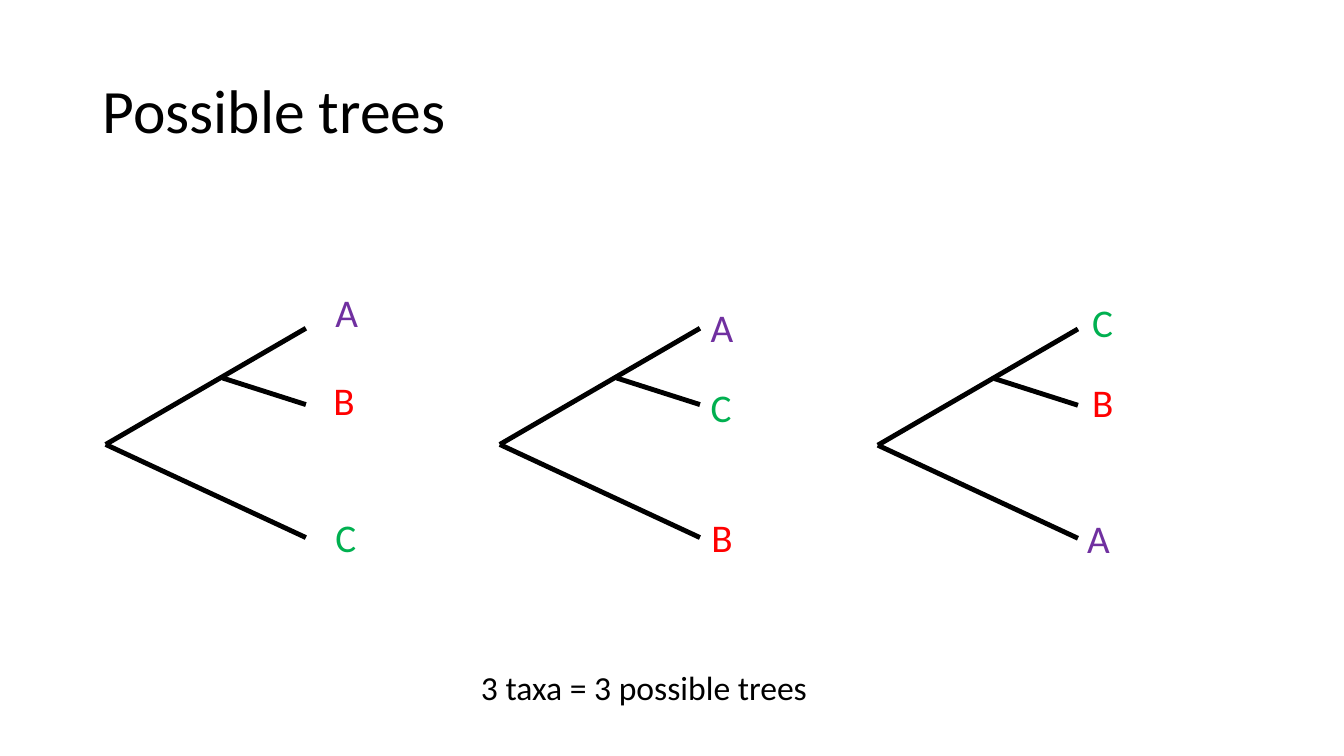
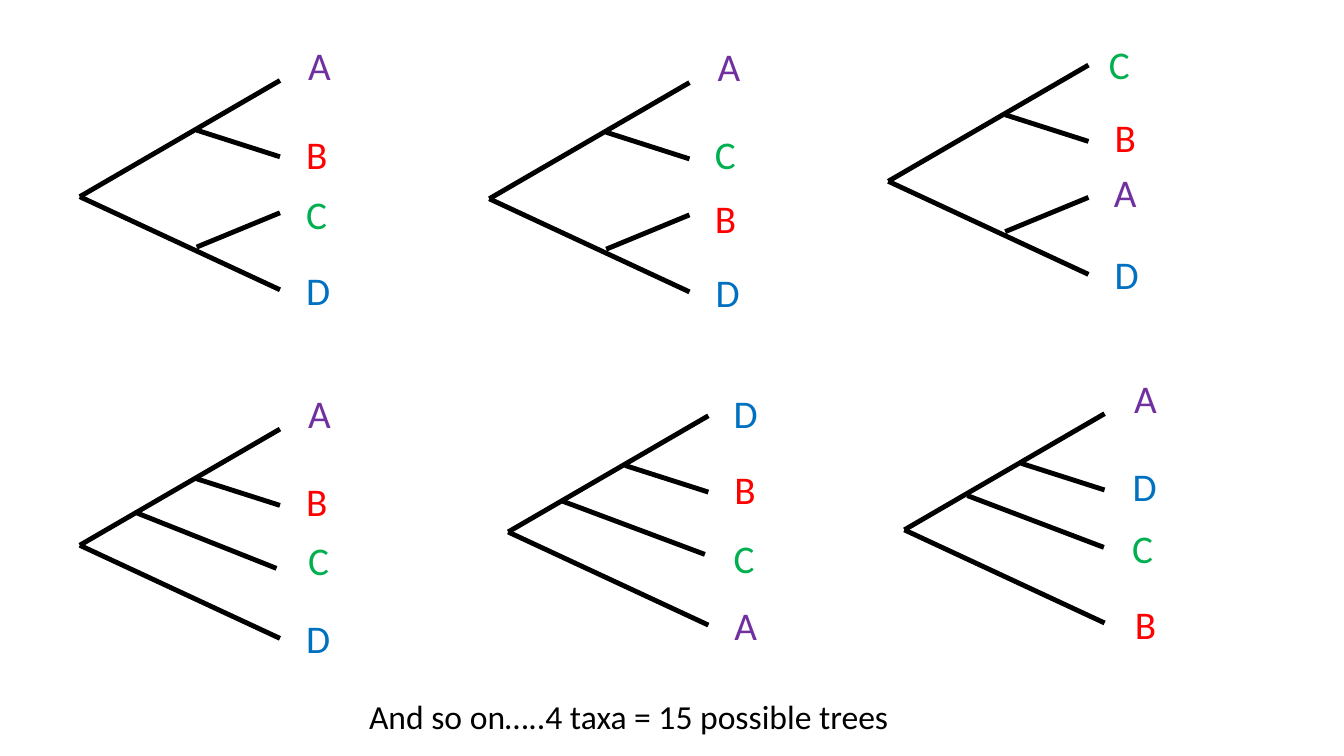
import pptx
import pptx.dml.color
import pptx.enum.shapes
import pptx.enum.text
import pptx.oxml.ns
import pptx.util
from lxml import etree

Pt = pptx.util.Pt
COLORS = {
    "ink": "000000",
    "paper": "FFFFFF",
    "A": "7030A0",
    "B": "FF0000",
    "C": "00B050",
    "D": "0070C0",
}
TITLE_ONLY, BLANK = 5, 6

# Branches as (x1, y1, x2, y2), measured from the root of a tree.
THREE_TAXA = [(0, 0, 143, -83), (0, 0, 143, 66.5), (83.5, -47.5, 143, -28.5)]
PAIRS = THREE_TAXA + [(83.5, 36, 143, 11.5)]


def ladder(*middle_branch):
    return THREE_TAXA + [middle_branch]


# Each tree: root, branches, then taxa as (letter, x, y) measured from the root.
THREE_TAXA_TREES = [
    ((75.5, 317.5), THREE_TAXA, [("A", 157, -115), ("B", 155.5, -52), ("C", 157, 45.5)]),
    ((357, 317.5), THREE_TAXA, [("A", 143.5, -104.5), ("C", 143.5, -47.5), ("B", 144, 45.5)]),
    ((627, 318), THREE_TAXA, [("C", 146, -108.5), ("B", 146, -51), ("A", 142.5, 45.5)]),
]
FOUR_TAXA_TREES = [
    ((57, 140.5), PAIRS,
     [("A", 156, -114.5), ("B", 154.5, -51), ("C", 154.5, -8), ("D", 154.5, 46)]),
    ((349.5, 142), PAIRS,
     [("A", 156, -115.5), ("C", 154, -52.5), ("B", 154, -6.5), ("D", 154.5, 46)]),
    ((634.5, 129.5), PAIRS,
     [("C", 150.5, -104.5), ("B", 154.5, -52), ("A", 154, -13), ("D", 154.5, 45.5)]),
    ((57, 389.5), ladder(41, -23, 140.5, 16.5),
     [("A", 156, -115), ("B", 154.5, -52), ("C", 156, -10), ("D", 154.5, 45.5)]),
    ((363, 380), ladder(37.5, -22.5, 140.5, 16),
     [("D", 154, -105.5), ("B", 154.5, -51), ("C", 154, -2), ("A", 154.5, 46)]),
    ((646, 378.5), ladder(45, -24.5, 142.5, 12.5),
     [("A", 157, -115), ("D", 156, -51.5), ("C", 155.5, -7.5), ("B", 157.5, 46.5)]),
]


def rgb(name):
    return pptx.dml.color.RGBColor.from_string(COLORS[name])


def write(frame, text, *, size, color="ink", font="Calibri", spacing=1.0, anchor="TOP"):
    frame.word_wrap = True
    frame.vertical_anchor = getattr(pptx.enum.text.MSO_ANCHOR, anchor)
    paragraph = frame.paragraphs[0]
    paragraph.alignment = pptx.enum.text.PP_ALIGN.LEFT
    paragraph.line_spacing = spacing
    run = paragraph.add_run()
    run.text = text
    run.font.name = font
    run.font.size = Pt(size)
    run.font.color.rgb = rgb(color)


class Deck:
    def __init__(self):
        self.presentation = pptx.Presentation()
        self.presentation.slide_width = Pt(960)
        self.presentation.slide_height = Pt(540)
        self.slide = None

    def add_slide(self, title=None):
        layout = self.presentation.slide_layouts[TITLE_ONLY if title else BLANK]
        self.slide = self.presentation.slides.add_slide(layout)
        fill = self.slide.background.fill
        fill.solid()
        fill.fore_color.rgb = rgb("paper")
        if title:
            shape = self.slide.shapes.title
            shape.left, shape.top, shape.width, shape.height = map(Pt, (66, 29, 828, 104.5))
            write(shape.text_frame, title, size=44, spacing=0.9, anchor="MIDDLE")

    def text(self, text, left, top, width, height, **style):
        box = self.slide.shapes.add_textbox(Pt(left), Pt(top), Pt(width), Pt(height))
        write(box.text_frame, text, **style)
        box.text_frame.auto_size = pptx.enum.text.MSO_AUTO_SIZE.SHAPE_TO_FIT_TEXT

    def line(self, x1, y1, x2, y2):
        connector = self.slide.shapes.add_connector(
            pptx.enum.shapes.MSO_CONNECTOR.STRAIGHT, Pt(x1), Pt(y1), Pt(x2), Pt(y2))
        connector.line.width = Pt(3.5)
        connector.line.color.rgb = rgb("ink")
        etree.SubElement(connector._element.spPr, pptx.oxml.ns.qn("a:effectLst"))

    def tree(self, root, branches, taxa):
        x, y = root
        for x1, y1, x2, y2 in branches:
            self.line(x + x1, y + y1, x + x2, y + y2)
        for letter, dx, dy in taxa:
            self.text(letter, x + dx, y + dy, 29.5, 41, size=28, color=letter)

    def caption(self, text, left, top, width):
        self.text(text, left, top, width, 36, size=24)


def main():
    deck = Deck()
    deck.add_slide("Possible trees")
    for tree in THREE_TAXA_TREES:
        deck.tree(*tree)
    deck.caption("3 taxa = 3 possible trees", 336.5, 473, 268.5)

    deck.add_slide()
    for tree in FOUR_TAXA_TREES:
        deck.tree(*tree)
    deck.caption("And so on…..4 taxa = 15 possible trees", 256.5, 493.5, 402.5)
    deck.presentation.save("out.pptx")


if __name__ == "__main__":
    main()
